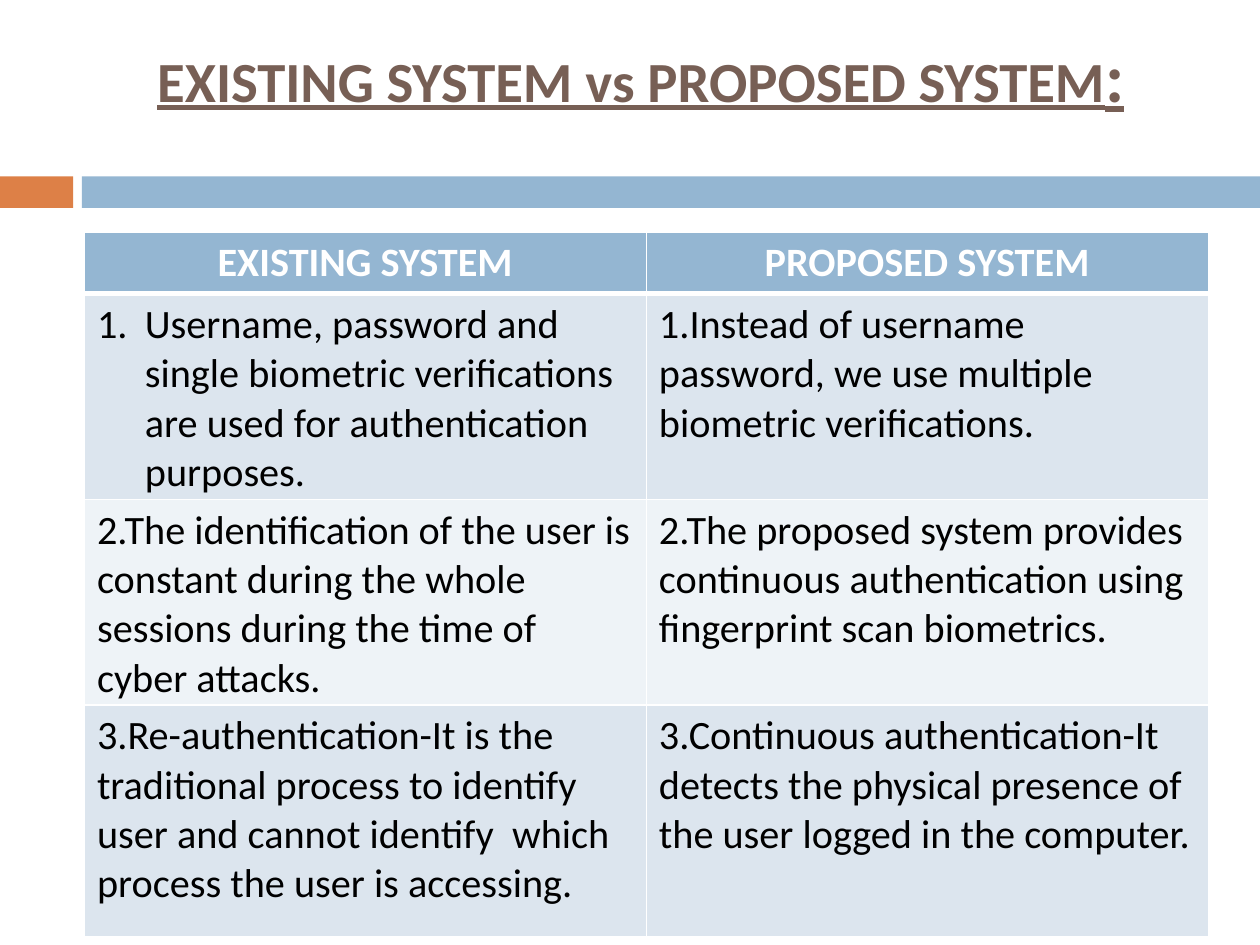
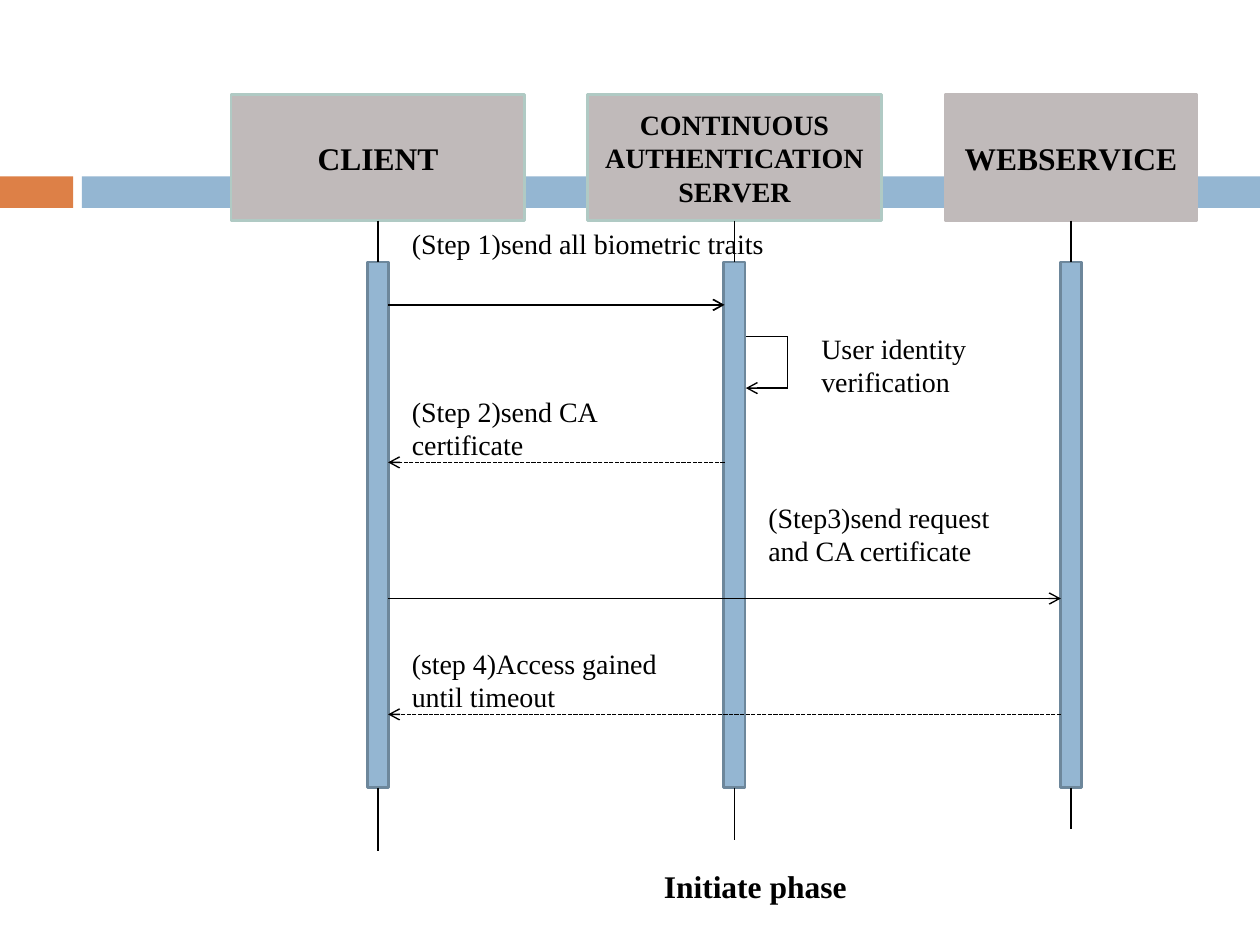
"""Build two slides: a system comparison table and a sequence diagram."""
from dataclasses import dataclass

from lxml.etree import SubElement
from pptx import Presentation
from pptx.dml.color import RGBColor
from pptx.enum.dml import MSO_LINE
from pptx.enum.shapes import MSO_CONNECTOR, MSO_SHAPE
from pptx.enum.text import MSO_ANCHOR, PP_ALIGN
from pptx.oxml.ns import qn
from pptx.util import Inches, Pt


@dataclass(frozen=True)
class Theme:
    blue: str = "94B6D2"
    orange: str = "DD8047"
    brown: str = "775F55"
    white: str = "FFFFFF"
    black: str = "000000"
    odd: str = "DCE5EE"
    even: str = "EEF3F7"
    grey: str = "C0BABA"
    mint: str = "B0CAC4"
    steel: str = "6D879B"
    sans: str = "Calibri"
    serif: str = "Times New Roman"
    title: float = 32.4
    colon: float = 39.6
    cell: float = 23
    head: float = 18
    note: float = 16
    thin: float = 0.79
    edge: float = 1.5


@dataclass(frozen=True)
class Actor:
    label: str
    x: float
    width: float
    size: float
    edge: str
    end: float
    stem: float


@dataclass(frozen=True)
class Arrow:
    start: tuple[float, float]
    stop: tuple[float, float]
    tip: bool = True
    dash: bool = False
    width: float = 0.79


@dataclass(frozen=True)
class Note:
    text: str
    left: float
    top: float
    width: float
    size: float = 16
    bold: bool = False


T = Theme()
HEAD_TOP, HEAD_TALL = 0.75, 1
BAR_TOP, BAR_TALL, BAR_WIDE = 2.08, 4.17, 0.17
HEAD_END, BAR_END = HEAD_TOP + HEAD_TALL, BAR_TOP + BAR_TALL

ROWS = [
    (0.49, "EXISTING SYSTEM", "PROPOSED SYSTEM"),
    (1.42, "Username, password and single biometric verifications are used "
           "for authentication purposes.",
     "1.Instead of username password, we use multiple biometric verifications."),
    (1.42, "2.The identification of the user is constant during the whole "
           "sessions during the time of cyber attacks.",
     "2.The proposed system provides continuous authentication using "
     "fingerprint scan biometrics."),
    (1.84, "3.Re-authentication-It is the traditional process to identify user "
           "and cannot identify  which process the user is accessing.",
     "3.Continuous authentication-It detects the physical presence of the "
     "user logged in the computer."),
]

ACTORS = [
    Actor("CLIENT", 3, 2.33, T.head, T.mint, 6.75, T.thin),
    Actor("CONTINUOUS AUTHENTICATION\nSERVER", 5.83, 2.33, T.note, T.mint, 6.67, 1),
    Actor("WEBSERVICE", 8.5, 2, T.head, T.grey, 6.58, T.thin),
]

ARROWS = [
    Arrow((3.08, 2.42), (5.75, 2.42), width=1),
    Arrow((5.92, 2.67), (6.25, 2.67), tip=False),
    Arrow((6.25, 2.67), (6.25, 3.08), tip=False),
    Arrow((6.25, 3.08), (5.92, 3.08)),
    Arrow((5.75, 3.67), (3.08, 3.67), dash=True),
    Arrow((3.08, 4.75), (8.42, 4.75)),
    Arrow((8.42, 5.67), (3.08, 5.67), dash=True),
]

NOTES = [
    Note("(Step 1)send all biometric traits", 3.17, 1.75, 3),
    Note("User identity verification", 6.42, 2.58, 2),
    Note("(Step 2)send CA certificate", 3.17, 3.08, 2.5),
    Note("(Step3)send request and CA certificate", 6, 3.92, 2.25),
    Note("(step 4)Access gained until timeout", 3.17, 5.08, 2.5),
    Note("Initiate phase", 5.17, 6.83, 1.67, T.head, True),
]


def style(font, face: str, size: float, color: str, bold: bool = False) -> None:
    """Set the face, size, colour and weight of a font."""
    font.name, font.size, font.bold = face, Pt(size), bold
    font.color.rgb = RGBColor.from_string(color)


def add_box(slide, left: float, top: float, width: float, height: float,
            fill: str, edge: str = ""):
    """Draw a filled rectangle with an optional edge."""
    box = slide.shapes.add_shape(MSO_SHAPE.RECTANGLE, Inches(left), Inches(top),
                                 Inches(width), Inches(height))
    box.shadow.inherit = False
    box.fill.solid()
    box.fill.fore_color.rgb = RGBColor.from_string(fill)
    if edge:
        box.line.color.rgb = RGBColor.from_string(edge)
        box.line.width = Pt(T.edge)
    else:
        box.line.fill.background()
    return box


def add_arrow(slide, arrow: Arrow) -> None:
    """Draw a straight line with an optional open arrowhead."""
    ends = [Inches(n) for n in (*arrow.start, *arrow.stop)]
    link = slide.shapes.add_connector(MSO_CONNECTOR.STRAIGHT, *ends)
    link.line.color.rgb = RGBColor.from_string(T.black)
    link.line.width = Pt(arrow.width)
    if arrow.dash:
        link.line.dash_style = MSO_LINE.SQUARE_DOT
    props = link._element.spPr
    if arrow.tip:
        SubElement(props.find(qn("a:ln")), qn("a:tailEnd"), type="arrow")
    SubElement(props, qn("a:effectLst"))


def add_note(slide, note: Note) -> None:
    """Write a wrapped label on the diagram."""
    box = slide.shapes.add_textbox(Inches(note.left), Inches(note.top),
                                   Inches(note.width), Inches(0.64))
    frame = box.text_frame
    frame.word_wrap = True
    frame.text = note.text
    style(frame.paragraphs[0].runs[0].font, T.serif, note.size, T.black, note.bold)


def add_actor(slide, actor: Actor) -> None:
    """Draw an actor's head, activation bar and lifeline."""
    head = add_box(slide, actor.x - actor.width / 2, HEAD_TOP, actor.width,
                   HEAD_TALL, T.grey, actor.edge)
    frame = head.text_frame
    frame.text = actor.label
    frame.vertical_anchor = MSO_ANCHOR.MIDDLE
    for para in frame.paragraphs:
        para.alignment = PP_ALIGN.CENTER
        style(para.runs[0].font, T.serif, actor.size, T.black, True)
    add_box(slide, actor.x - BAR_WIDE / 2, BAR_TOP, BAR_WIDE, BAR_TALL,
            T.blue, T.steel)
    add_arrow(slide, Arrow((actor.x, HEAD_END), (actor.x, BAR_TOP), False,
                           width=actor.stem))
    add_arrow(slide, Arrow((actor.x, BAR_END), (actor.x, actor.end), False))


def add_title(slide, text: str) -> None:
    """Write the underlined title with its larger colon."""
    box = slide.shapes.add_textbox(Inches(0.75), Inches(0.5),
                                   Inches(8.67), Inches(0.75))
    frame = box.text_frame
    frame.word_wrap = True
    frame.vertical_anchor = MSO_ANCHOR.BOTTOM
    frame.margin_bottom = Inches(0.33)
    para = frame.paragraphs[0]
    para.alignment = PP_ALIGN.CENTER
    for part, size in ((text, T.title), (":", T.colon)):
        run = para.add_run()
        run.text = part
        style(run.font, T.sans, size, T.brown, True)
        run.font.underline = True


def set_edges(cell, row: int) -> None:
    """Give a cell white borders, thick below the header."""
    props = cell._tc.get_or_add_tcPr()
    wide = {"T": 3 if row == 1 else 1, "B": 3 if row == 0 else 1}
    for side in "LRTB":
        line = SubElement(props, qn(f"a:ln{side}"), w=str(Pt(wide.get(side, 1))))
        fill = SubElement(line, qn("a:solidFill"))
        SubElement(fill, qn("a:srgbClr"), val=T.white)


def add_grid(slide) -> None:
    """Draw the comparison table."""
    frame = slide.shapes.add_table(len(ROWS), 2, Inches(0.67), Inches(1.84),
                                   Inches(8.92), Inches(5.17))
    table = frame.table
    for row, (height, *texts) in enumerate(ROWS):
        table.rows[row].height = Inches(height)
        fill = T.blue if row == 0 else (T.odd if row % 2 else T.even)
        for col, text in enumerate(texts):
            cell = table.cell(row, col)
            set_edges(cell, row)
            cell.fill.solid()
            cell.fill.fore_color.rgb = RGBColor.from_string(fill)
            cell.text = text
            para = cell.text_frame.paragraphs[0]
            if row == 0:
                para.alignment = PP_ALIGN.CENTER
            style(para.runs[0].font, T.sans, T.cell,
                  T.black if row else T.white, row == 0)
    props = table.cell(1, 0).text_frame.paragraphs[0]._p.get_or_add_pPr()
    props.set("marL", str(Inches(0.38)))
    props.set("indent", str(-Inches(0.38)))
    SubElement(props, qn("a:buFont"), typeface="+mj-lt")
    SubElement(props, qn("a:buAutoNum"), type="arabicPeriod")


def add_page(deck):
    """Add a blank slide with the shared bands."""
    slide = deck.slides.add_slide(deck.slide_layouts[6])
    add_box(slide, 0, 1.4, 0.58, 0.25, T.orange)
    add_box(slide, 0.65, 1.4, 9.35, 0.25, T.blue)
    return slide


def main() -> None:
    """Build and save the deck."""
    deck = Presentation()
    deck.slide_width, deck.slide_height = Inches(10), Inches(7.5)
    page = add_page(deck)
    add_title(page, "EXISTING SYSTEM vs PROPOSED SYSTEM")
    add_grid(page)
    page = add_page(deck)
    for actor in ACTORS:
        add_actor(page, actor)
    for arrow in ARROWS:
        add_arrow(page, arrow)
    for note in NOTES:
        add_note(page, note)
    deck.save("out.pptx")


if __name__ == "__main__":
    main()
